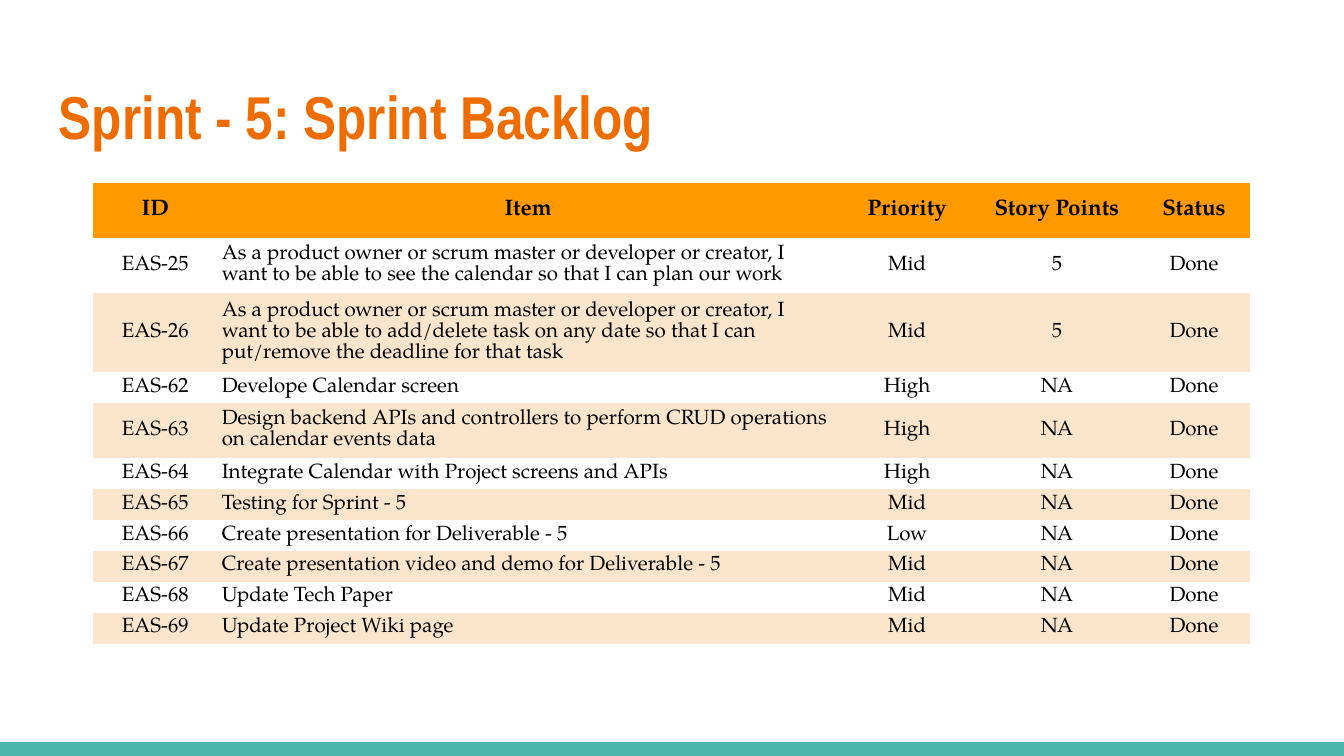
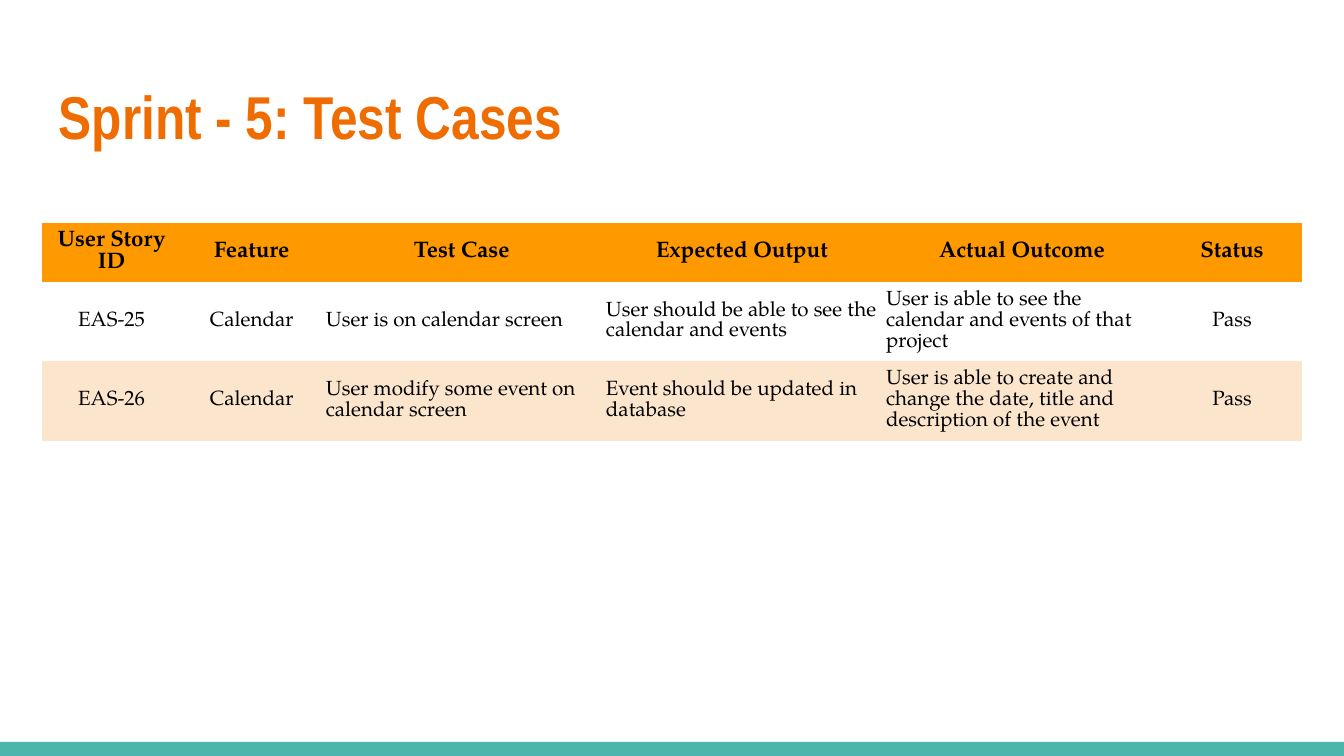
from pptx import Presentation
from pptx.dml.color import RGBColor
from pptx.enum.shapes import MSO_SHAPE as Shape
from pptx.enum.text import MSO_ANCHOR as Anchor, PP_ALIGN as Align
from pptx.oxml.ns import qn
from pptx.util import Inches, Pt

COLORS = {"title": "EF6C00", "band": "4DB6AC", "header": "FF9900", "stripe": "FCE5CD", "text": "000000"}
PLAIN_STYLE = "{2D5ABB26-0587-4C30-8999-92F81FD0307C}"
TITLE_FONT = {"name": "Arial Narrow", "size": Pt(32.4), "bold": True}
HEADER_FONT = {"name": "TeX Gyre Pagella", "size": Pt(12), "bold": True}
BODY_FONT = {"name": "TeX Gyre Pagella", "size": Pt(11), "bold": False}
CELL_FORMAT = {
    "vertical_anchor": Anchor.MIDDLE,
    "margin_left": Inches(0.03), "margin_right": Inches(0.03),
    "margin_top": Inches(0.02), "margin_bottom": Inches(0.02),
}
TITLE_FORMAT = {
    "word_wrap": True, "vertical_anchor": Anchor.TOP,
    "margin_left": Inches(0.1), "margin_right": Inches(0.1),
    "margin_top": Inches(0.1), "margin_bottom": Inches(0.1),
}
LINE_HEIGHTS = {1: 0.23, 2: 0.41, 3: 0.58}

SLIDES = [
    {
        "title": "Sprint - 5: Sprint Backlog",
        "place": (0.69, 1.36),
        "columns": [0.93, 4.62, 1.02, 1.21, 0.83],
        "prose_columns": {1},
        "row_lines": [2, 2, 3, 1, 2, 1, 1, 1, 1, 1, 1],
        "rows": [
            ("ID", "Item", "Priority", "Story Points", "Status"),
            ("EAS-25", "As a product owner or scrum master or developer or creator, I want to be able "
                       "to see the calendar so that I can plan our work", "Mid", "5", "Done"),
            ("EAS-26", "As a product owner or scrum master or developer or creator, I want to be able "
                       "to add/delete task on any date so that I can put/remove the deadline for that task",
             "Mid", "5", "Done"),
            ("EAS-62", "Develope Calendar screen", "High", "NA", "Done"),
            ("EAS-63", "Design backend APIs and controllers to perform CRUD operations on calendar "
                       "events data", "High", "NA", "Done"),
            ("EAS-64", "Integrate Calendar with Project screens and APIs", "High", "NA", "Done"),
            ("EAS-65", "Testing for Sprint - 5", "Mid", "NA", "Done"),
            ("EAS-66", "Create presentation for Deliverable - 5", "Low", "NA", "Done"),
            ("EAS-67", "Create presentation video and demo for Deliverable - 5", "Mid", "NA", "Done"),
            ("EAS-68", "Update Tech Paper", "Mid", "NA", "Done"),
            ("EAS-69", "Update Project Wiki page", "Mid", "NA", "Done"),
        ],
    },
    {
        "title": "Sprint - 5: Test Cases",
        "place": (0.31, 1.66),
        "columns": [9.38 * share / 9 for share in (1, 1, 2, 2, 2, 1)],
        "prose_columns": {2, 3, 4},
        "row_lines": [2, 3, 3],
        "rows": [
            ("User Story ID", "Feature", "Test Case", "Expected Output", "Actual Outcome", "Status"),
            ("EAS-25", "Calendar", "User is on calendar screen",
             "User should be able to see the calendar and events",
             "User is able to see the calendar and events of that project", "Pass"),
            ("EAS-26", "Calendar", "User modify some event on calendar screen",
             "Event should be updated in database",
             "User is able to create and change the date, title and description of the event", "Pass"),
        ],
    },
]


def color(name):
    return RGBColor.from_string(COLORS[name])


def apply(target, values):
    for name, value in values.items():
        setattr(target, name, value)


def paint(fill, name):
    fill.solid()
    fill.fore_color.rgb = color(name)


def write(para, text, font, color_name):
    span = para.add_run()
    span.text = text
    apply(span.font, font)
    span.font.color.rgb = color(color_name)


def add_band(page):
    band = page.shapes.add_shape(Shape.RECTANGLE, 0, Inches(5.52), Inches(10), Inches(0.11))
    band.shadow.inherit = False
    paint(band.fill, "band")
    band.line.fill.background()


def add_title(page, text):
    box = page.shapes.add_textbox(Inches(0.34), Inches(0.49), Inches(9.32), Inches(0.77))
    apply(box.text_frame, TITLE_FORMAT)
    write(box.text_frame.paragraphs[0], text, TITLE_FONT, "title")


def fill_cell(cell, text, row_index, is_prose):
    is_header = row_index == 0
    apply(cell, CELL_FORMAT)
    if is_header:
        paint(cell.fill, "header")
    elif row_index % 2 == 0:
        paint(cell.fill, "stripe")
    else:
        cell.fill.background()
    para = cell.text_frame.paragraphs[0]
    para.line_spacing = 1.0
    para.alignment = Align.LEFT if is_prose and not is_header else Align.CENTER
    write(para, text, HEADER_FONT if is_header else BODY_FONT, "text")


def add_grid(page, content):
    rows, columns = content["rows"], content["columns"]
    heights = [LINE_HEIGHTS[lines] for lines in content["row_lines"]]
    left, top = content["place"]
    frame = page.shapes.add_table(len(rows), len(columns), Inches(left), Inches(top),
                                  Inches(sum(columns)), Inches(sum(heights)))
    for style in frame.element.iter(qn("a:tableStyleId")):
        style.text = PLAIN_STYLE
    table = frame.table
    apply(table, {"first_row": False, "horz_banding": False})
    for column, width in zip(table.columns, columns):
        column.width = Inches(width)
    for row_index, (row, height) in enumerate(zip(rows, heights)):
        table.rows[row_index].height = Inches(height)
        for column_index, text in enumerate(row):
            fill_cell(table.cell(row_index, column_index), text, row_index,
                      column_index in content["prose_columns"])


def main():
    deck = Presentation()
    deck.slide_width, deck.slide_height = Inches(10), Inches(10 * 9 / 16)
    for content in SLIDES:
        page = deck.slides.add_slide(deck.slide_layouts[6])
        add_band(page)
        add_title(page, content["title"])
        add_grid(page, content)
    deck.save("out.pptx")


if __name__ == "__main__":
    main()
